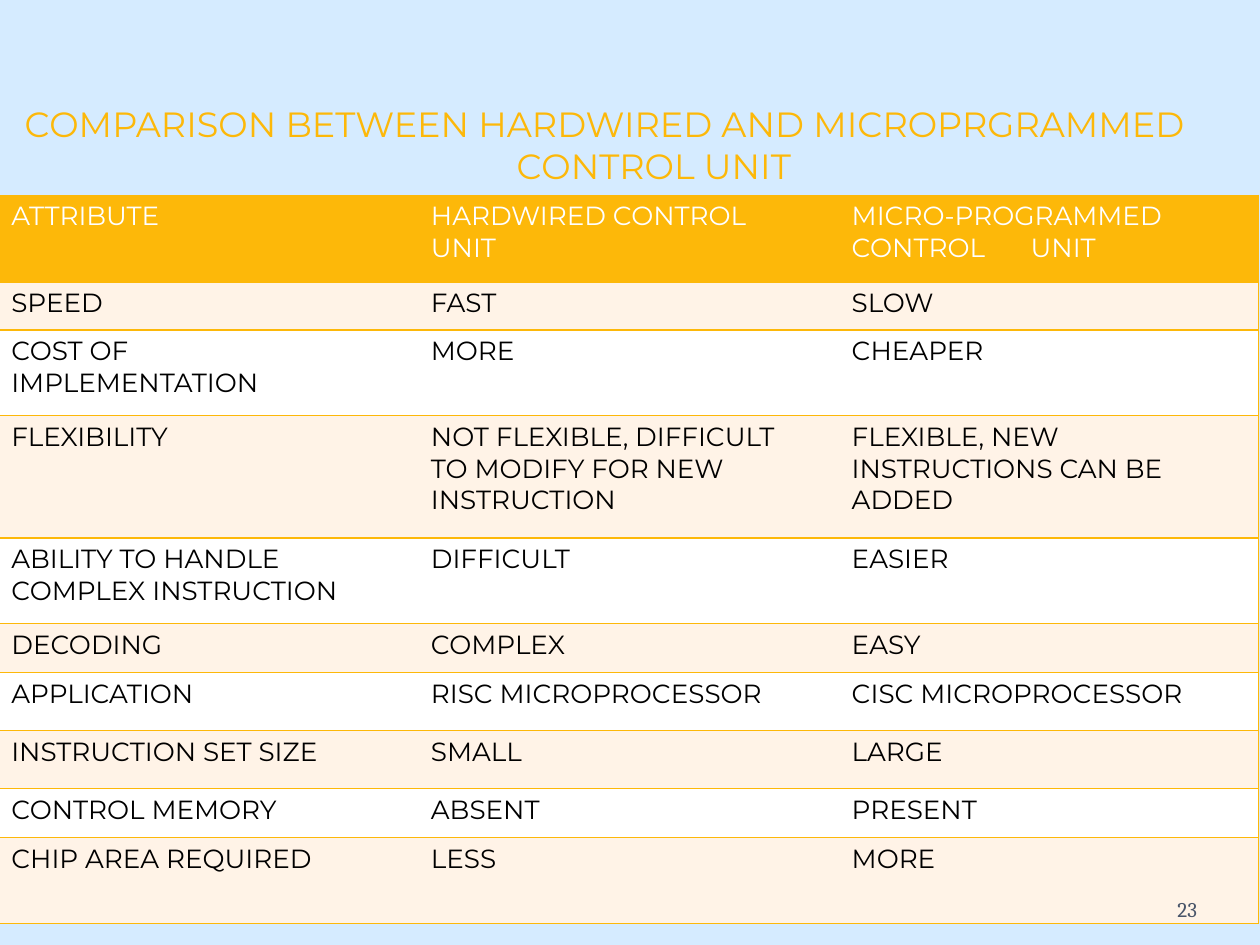
from lxml import etree
from pptx import Presentation
from pptx.dml.color import RGBColor
from pptx.enum.text import MSO_ANCHOR, MSO_AUTO_SIZE, PP_ALIGN
from pptx.oxml.ns import qn
from pptx.util import Inches, Pt

TOP = MSO_ANCHOR.TOP
NO_FIT = MSO_AUTO_SIZE.NONE
CENTER, RIGHT = PP_ALIGN.CENTER, PP_ALIGN.RIGHT

GOLD, CREAM, WHITE, BLACK = "FDB809", "FFF3E7", "FFFFFF", "000000"
SKY, SLATE = "D5EBFF", "49556A"

WIDTHS = [3.18, 3.44, 3.38]
LEFTS = [0.1, 0.25, 0.15]
RIGHTS = [0.4, 0.4, 0.49]
HEIGHTS = [0.69, 0.38, 0.68, 0.97, 0.68, 0.39, 0.46, 0.46, 0.39, 0.68]
ROWS = [
    ("ATTRIBUTE", "HARDWIRED CONTROL UNIT", "MICRO-PROGRAMMED CONTROL\tUNIT"),
    ("SPEED", "FAST", "SLOW"),
    ("COST OF IMPLEMENTATION", "MORE", "CHEAPER"),
    ("FLEXIBILITY", "NOT FLEXIBLE, DIFFICULT TO MODIFY FOR NEW INSTRUCTION",
     "FLEXIBLE, NEW INSTRUCTIONS CAN BE ADDED"),
    ("ABILITY TO HANDLE COMPLEX INSTRUCTION", "DIFFICULT", "EASIER"),
    ("DECODING", "COMPLEX", "EASY"),
    ("APPLICATION", "RISC MICROPROCESSOR", "CISC MICROPROCESSOR"),
    ("INSTRUCTION SET SIZE", "SMALL", "LARGE"),
    ("CONTROL MEMORY", "ABSENT", "PRESENT"),
    ("CHIP AREA REQUIRED", "LESS", "MORE"),
]


def color(code):
    return RGBColor.from_string(code)


def style(para, size, code, name="Montserrat"):
    font = para.font
    font.name, font.size, font.bold = name, Pt(size), False
    font.color.rgb = color(code)


def add_title(slide):
    title = slide.shapes.title
    title.left, title.top = Inches(-0.01), Inches(0.8)
    title.width, title.height = Inches(9.62), Inches(0.7)
    frame = title.text_frame
    frame.margin_left = frame.margin_right = frame.margin_bottom = 0
    frame.margin_top = Inches(0.01)
    frame.vertical_anchor = TOP
    frame.auto_size = NO_FIT
    frame.word_wrap = True
    frame.text = ("COMPARISON BETWEEN HARDWIRED AND MICROPRGRAMMED\n"
                  "CONTROL UNIT")
    for para in frame.paragraphs:
        para.alignment = CENTER
        style(para, 20, GOLD)
    frame.paragraphs[1]._p.get_or_add_pPr().set("marL", str(Inches(0.78)))


def set_border(cell, side, shown):
    props = cell._tc.get_or_add_tcPr()
    line = etree.SubElement(props, qn("a:ln" + side), w=str(Pt(1)))
    if shown:
        fill = etree.SubElement(line, qn("a:solidFill"))
        etree.SubElement(fill, qn("a:srgbClr"), val=GOLD)
    else:
        etree.SubElement(line, qn("a:noFill"))


def add_tab(para, place):
    tabs = etree.SubElement(para._p.get_or_add_pPr(), qn("a:tabLst"))
    etree.SubElement(tabs, qn("a:tab"), pos=str(Inches(place)), algn="l")


def fill_cell(cell, text, row, col):
    """Write one cell with its margins, outer borders and row colour."""
    cell.margin_left, cell.margin_right = Inches(LEFTS[col]), Inches(RIGHTS[col])
    cell.margin_top, cell.margin_bottom = Inches(0.04), 0
    last = len(WIDTHS) - 1
    for side, shown in (("L", col == 0), ("R", col == last),
                        ("T", True), ("B", True)):
        set_border(cell, side, shown)
    cell.fill.solid()
    back = GOLD if row == 0 else CREAM if row % 2 else WHITE
    cell.fill.fore_color.rgb = color(back)
    cell.text = text
    para = cell.text_frame.paragraphs[0]
    if "\t" in text:
        add_tab(para, 1.42)
    style(para, 15, BLACK if row else WHITE)


def add_grid(slide):
    frame = slide.shapes.add_table(
        len(ROWS), len(WIDTHS), Inches(-0.01), Inches(1.55),
        Inches(sum(WIDTHS)), Inches(sum(HEIGHTS)))
    table = frame.table
    table.first_row = table.horz_banding = False
    for col, width in enumerate(WIDTHS):
        table.columns[col].width = Inches(width)
    for row, texts in enumerate(ROWS):
        table.rows[row].height = Inches(HEIGHTS[row])
        for col, text in enumerate(texts):
            fill_cell(table.cell(row, col), text, row, col)
    return table


def add_number(cell, text):
    para = cell.text_frame.add_paragraph()
    para.text = text
    para.alignment = RIGHT
    para.line_spacing, para.space_before = Pt(12.8), Pt(14.5)
    style(para, 12, SLATE, "Cambria")


def main():
    deck = Presentation()
    deck.slide_width, deck.slide_height = Inches(10), Inches(7.5)
    slide = deck.slides.add_slide(deck.slide_layouts[5])
    slide.background.fill.solid()
    slide.background.fill.fore_color.rgb = color(SKY)
    add_title(slide)
    table = add_grid(slide)
    add_number(table.cell(len(ROWS) - 1, len(WIDTHS) - 1), "23")
    deck.save("out.pptx")


if __name__ == "__main__":
    main()
